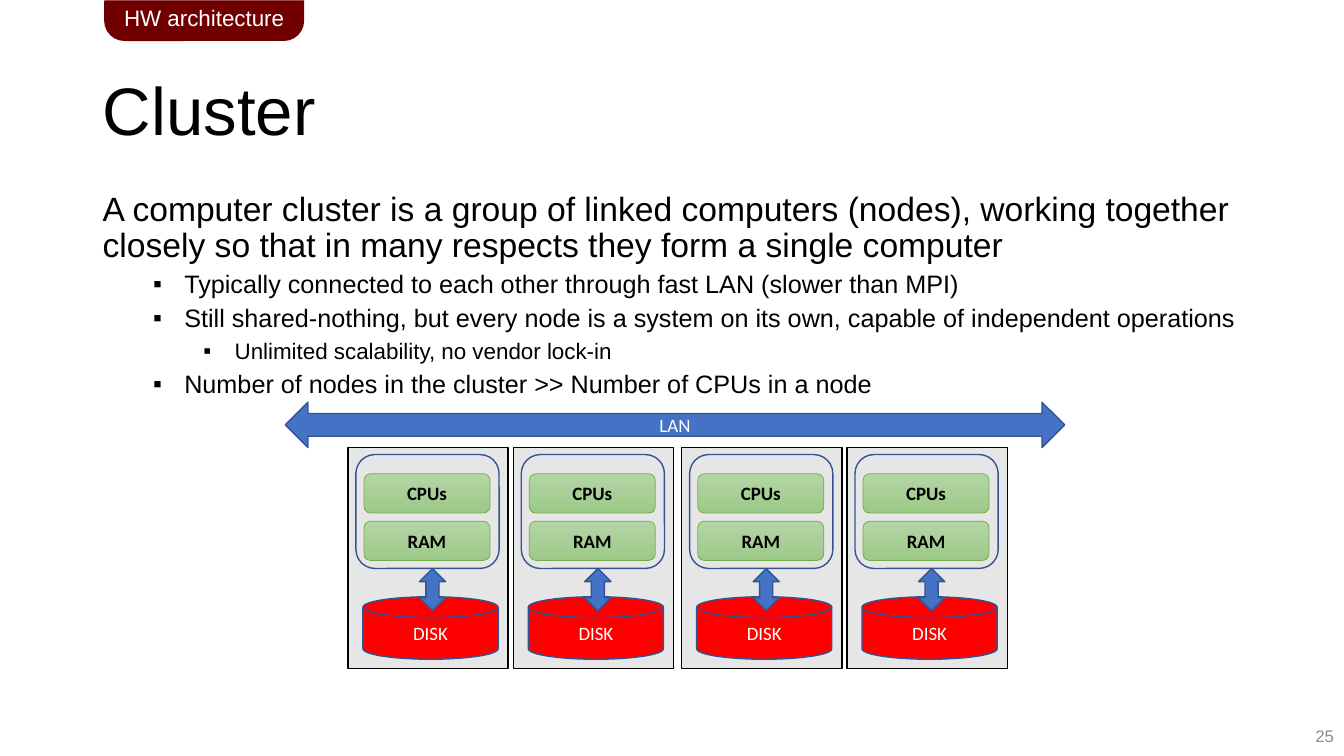
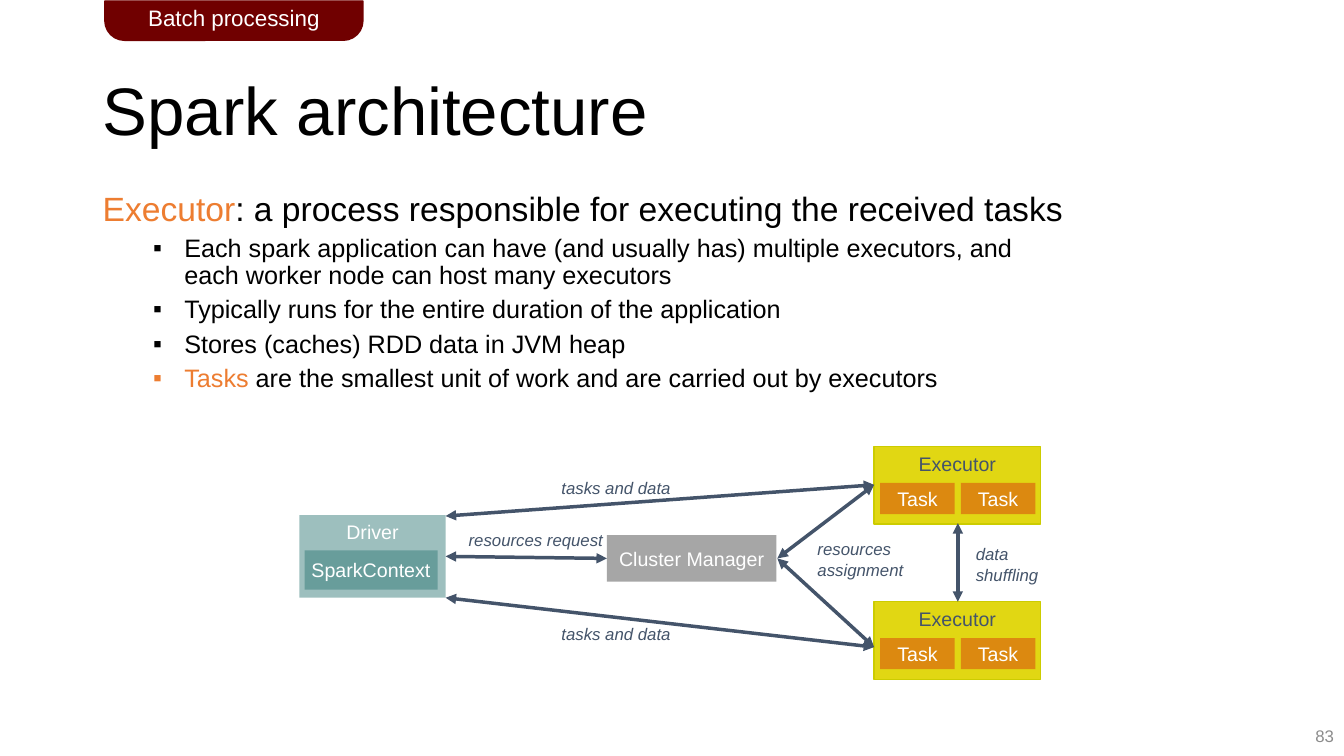
import pptx
import pptx.dml.color
import pptx.enum.shapes
import pptx.enum.text
import pptx.util
from lxml import etree
from pptx.oxml.ns import qn
from pptx.util import Inches

SHAPE = pptx.enum.shapes.MSO_SHAPE
ANCHOR = pptx.enum.text.MSO_ANCHOR
ALIGN = pptx.enum.text.PP_ALIGN


class Theme:
    heading_font, diagram_font = "Arial", "Calibri"
    black, white, orange, grey = "000000", "FFFFFF", "ED7D31", "8C8C8C"
    tab = "700000"
    node, disk, arrow, outline = "E7E6E6", "FF0000", "4472C4", "325491"
    green_top, green_bottom, green_line = "B5D5A7", "9CC987", "70AD47"
    slate, manager = "44546A", "A6A6A6"
    driver, context = "9DBFBE", "689D9B"
    executor, executor_line, task = "E1D713", "CCCC00", "DC8910"
    title_size, tab_size, number_size = 48, 16, 12
    body_sizes = (24, 18, 16)
    node_size, spark_size, label_size = 13.5, 14, 12


# Content: body paragraphs are (level, runs), runs are (text, colour)
B, O = Theme.black, Theme.orange
CLUSTER = dict(
    tab="HW architecture", tab_width=1.97, title="Cluster", number="25",
    body=[
        (0, [("A computer cluster is a group of linked computers (nodes), working together "
              "closely so that in many respects they form a single computer", B)]),
        (1, [("Typically connected to each other through fast LAN (slower than MPI)", B)]),
        (1, [("Still shared-nothing, but every node is a system on its own, "
              "capable of independent operations", B)]),
        (2, [("Unlimited scalability, no vendor lock-in", B)]),
        (1, [("Number of nodes in the cluster >> Number of CPUs in a node", B)]),
    ])
SPARK = dict(
    tab="Batch processing", tab_width=2.56, title="Spark architecture", number="83",
    body=[
        (0, [("Executor", O), (": a process responsible for executing the received tasks", B)]),
        (1, [("Each spark application can have (and usually has) multiple executors, and\n"
              "each worker node can host many executors", B)]),
        (1, [("Typically runs for the entire duration of the application", B)]),
        (1, [("Stores (caches) RDD data in JVM heap", B)]),
        (1, [("Tasks", O), (" are the smallest unit of work and are carried out by executors", B)]),
    ])

NODE_LEFTS = (3.45, 5.09, 6.76, 8.4)
EXECUTOR_TOPS = (4.43, 5.97)
TASK_LEFTS = (8.73, 9.53)

# Ends of the arrows between the Spark parts
DRIVER_TOP, DRIVER_MIDDLE, DRIVER_BOTTOM = (4.42, 5.12), (4.42, 5.52), (4.42, 5.93)
MANAGER_LEFT, MANAGER_RIGHT = (6.02, 5.54), (7.71, 5.54)
UPPER_EXECUTOR, LOWER_EXECUTOR = (8.67, 4.81), (8.67, 6.42)
SPARK_ARROWS = [
    ((9.5, 5.19), (9.5, 5.97)),
    (DRIVER_MIDDLE, MANAGER_LEFT),
    (MANAGER_RIGHT, UPPER_EXECUTOR),
    (MANAGER_RIGHT, LOWER_EXECUTOR),
    (DRIVER_TOP, UPPER_EXECUTOR),
    (DRIVER_BOTTOM, LOWER_EXECUTOR),
]
ARROW_LABELS = [
    (["resources request"], (4.55, 5.21, 1.54, 0.3)),
    (["tasks and data"], (5.47, 4.69, 1.29, 0.3)),
    (["tasks and data"], (5.47, 6.14, 1.29, 0.3)),
    (["resources", "assignment"], (8.01, 5.3, 1.06, 0.5)),
    (["data", "shuffling"], (9.58, 5.35, 0.83, 0.5)),
]


# Building blocks
def rgb(colour):
    return pptx.dml.color.RGBColor.from_string(colour)


def inches(lengths):
    return [Inches(length) for length in lengths]


def add_run(para, text, size, colour, font=Theme.heading_font, bold=False, italic=False):
    for index, piece in enumerate(text.split("\n")):
        if index:
            para.add_line_break()
        span = para.add_run()
        span.text = piece
        span.font.size = pptx.util.Pt(size)
        span.font.name = font
        span.font.color.rgb = rgb(colour)
        span.font.bold, span.font.italic = bold, italic


def add_box(page, at, anchor=ANCHOR.TOP, wrap=True):
    frame = page.shapes.add_textbox(*inches(at)).text_frame
    frame.word_wrap = wrap
    frame.vertical_anchor = anchor
    return frame


def add_paragraph(frame, index):
    return frame.add_paragraph() if index else frame.paragraphs[0]


def add_part(page, kind, at, fill=None, line=None, width=1, text="", size=Theme.spark_size,
             colour=Theme.white, font=Theme.heading_font, bold=False, anchor=ANCHOR.MIDDLE):
    """Preset shape; fill is one colour, a (top, bottom) gradient or None."""
    part = page.shapes.add_shape(kind, *inches(at))
    part.shadow.inherit = False
    if fill is None:
        part.fill.background()
    elif isinstance(fill, tuple):
        part.fill.gradient()
        part.fill.gradient_angle = 270
        for stop, shade in zip(part.fill.gradient_stops, fill):
            stop.color.rgb = rgb(shade)
    else:
        part.fill.solid()
        part.fill.fore_color.rgb = rgb(fill)
    if line:
        part.line.color.rgb = rgb(line)
        part.line.width = pptx.util.Pt(width)
    else:
        part.line.fill.background()
    if text:
        part.text_frame.vertical_anchor = anchor
        para = part.text_frame.paragraphs[0]
        para.alignment = ALIGN.CENTER
        add_run(para, text, size, colour, font, bold)
    return part


def add_double_arrow(page, start, end):
    link = page.shapes.add_connector(pptx.enum.shapes.MSO_CONNECTOR.STRAIGHT,
                                     *inches(start + end))
    link.line.color.rgb = rgb(Theme.slate)
    link.line.width = pptx.util.Pt(2.5)
    outline = link.line._get_or_add_ln()
    for tip in ("a:headEnd", "a:tailEnd"):
        etree.SubElement(outline, qn(tip)).set("type", "triangle")
    etree.SubElement(link._element.spPr, qn("a:effectLst"))


def indent_bullet(para, level):
    properties = para._p.get_or_add_pPr()
    properties.set("marL", str(Inches(0.31 + 0.5 * level)))
    properties.set("indent", str(Inches(-0.31)))
    etree.SubElement(properties, qn("a:buFont")).set("typeface", Theme.heading_font)
    etree.SubElement(properties, qn("a:buChar")).set("char", "▪")


# Frame shared by the slides: title, body, number and section tab
def add_page(deck, content):
    page = deck.slides.add_slide(deck.slide_layouts[6])
    title = add_box(page, (0.92, 0.4, 11.5, 1.45), ANCHOR.MIDDLE).paragraphs[0]
    title.line_spacing = 0.9
    add_run(title, content["title"], Theme.title_size, Theme.black)

    body = add_box(page, (0.92, 1.86, 11.5, 4.76))
    for index, (level, runs) in enumerate(content["body"]):
        para = add_paragraph(body, index)
        if level:
            para.level = level
            indent_bullet(para, level)
        para.line_spacing = 0.9
        para.space_before = pptx.util.Pt(5 if index else 0)
        for text, colour in runs:
            add_run(para, text, Theme.body_sizes[level], colour)

    number = add_box(page, (10.33, 7.1, 3, 0.4), ANCHOR.MIDDLE).paragraphs[0]
    number.alignment = ALIGN.RIGHT
    add_run(number, content["number"], Theme.number_size, Theme.grey)

    tab = add_part(page, SHAPE.ROUND_2_SAME_RECTANGLE, (1.04, 0.01, content["tab_width"], 0.39),
                   Theme.tab, Theme.tab, text=content["tab"], size=Theme.tab_size)
    tab.adjustments[0], tab.adjustments[1] = 0, 0.5
    return page


# Cluster: four nodes below a LAN arrow
def add_node(page, left):
    label = dict(size=Theme.node_size, font=Theme.diagram_font)
    add_part(page, SHAPE.RECTANGLE, (left, 4.44, 1.59, 2.19), Theme.node, Theme.black)
    for text, top in (("CPUs", 4.7), ("RAM", 5.17)):
        add_part(page, SHAPE.ROUNDED_RECTANGLE, (left + 0.16, top, 1.25, 0.39),
                 (Theme.green_top, Theme.green_bottom), Theme.green_line, 0.5,
                 text=text, colour=Theme.black, bold=True, **label)
    add_part(page, SHAPE.FLOWCHART_MAGNETIC_DISK, (left + 0.15, 5.92, 1.34, 0.62),
             Theme.disk, Theme.outline, text="DISK", **label)
    add_part(page, SHAPE.UP_DOWN_ARROW, (left + 0.71, 5.64, 0.26, 0.42),
             Theme.arrow, Theme.outline)
    add_part(page, SHAPE.ROUNDED_RECTANGLE, (left + 0.08, 4.51, 1.42, 1.13), line=Theme.outline)


def add_cluster(deck):
    page = add_page(deck, CLUSTER)
    for left in NODE_LEFTS:
        add_node(page, left)
    add_part(page, SHAPE.LEFT_RIGHT_ARROW, (2.83, 3.99, 7.73, 0.45), Theme.arrow, Theme.outline,
             text="LAN", size=Theme.node_size, font=Theme.diagram_font)


# Spark: driver, cluster manager and executors
def add_spark(deck):
    page = add_page(deck, SPARK)
    add_part(page, SHAPE.RECTANGLE, (6.02, 5.31, 1.68, 0.46), Theme.manager,
             text="Cluster Manager")
    add_part(page, SHAPE.RECTANGLE, (2.97, 5.11, 1.45, 0.82), Theme.driver,
             text="Driver", anchor=ANCHOR.TOP)
    context = add_part(page, SHAPE.RECTANGLE, (3.02, 5.46, 1.32, 0.39), Theme.context,
                       text="SparkContext")
    context.text_frame.margin_left = context.text_frame.margin_right = Inches(0.04)
    for top in EXECUTOR_TOPS:
        add_part(page, SHAPE.RECTANGLE, (8.67, top, 1.65, 0.77), Theme.executor,
                 Theme.executor_line, text="Executor", colour=Theme.slate, anchor=ANCHOR.TOP)
        for left in TASK_LEFTS:
            add_part(page, SHAPE.RECTANGLE, (left, top + 0.36, 0.74, 0.31), Theme.task,
                     text="Task")
    for start, end in SPARK_ARROWS:
        add_double_arrow(page, start, end)
    for lines, at in ARROW_LABELS:
        frame = add_box(page, at, wrap=False)
        for index, text in enumerate(lines):
            add_run(add_paragraph(frame, index), text, Theme.label_size, Theme.slate, italic=True)


def main():
    deck = pptx.Presentation()
    deck.slide_width, deck.slide_height = Inches(13.33), Inches(7.5)
    add_cluster(deck)
    add_spark(deck)
    deck.save("out.pptx")


if __name__ == "__main__":
    main()
